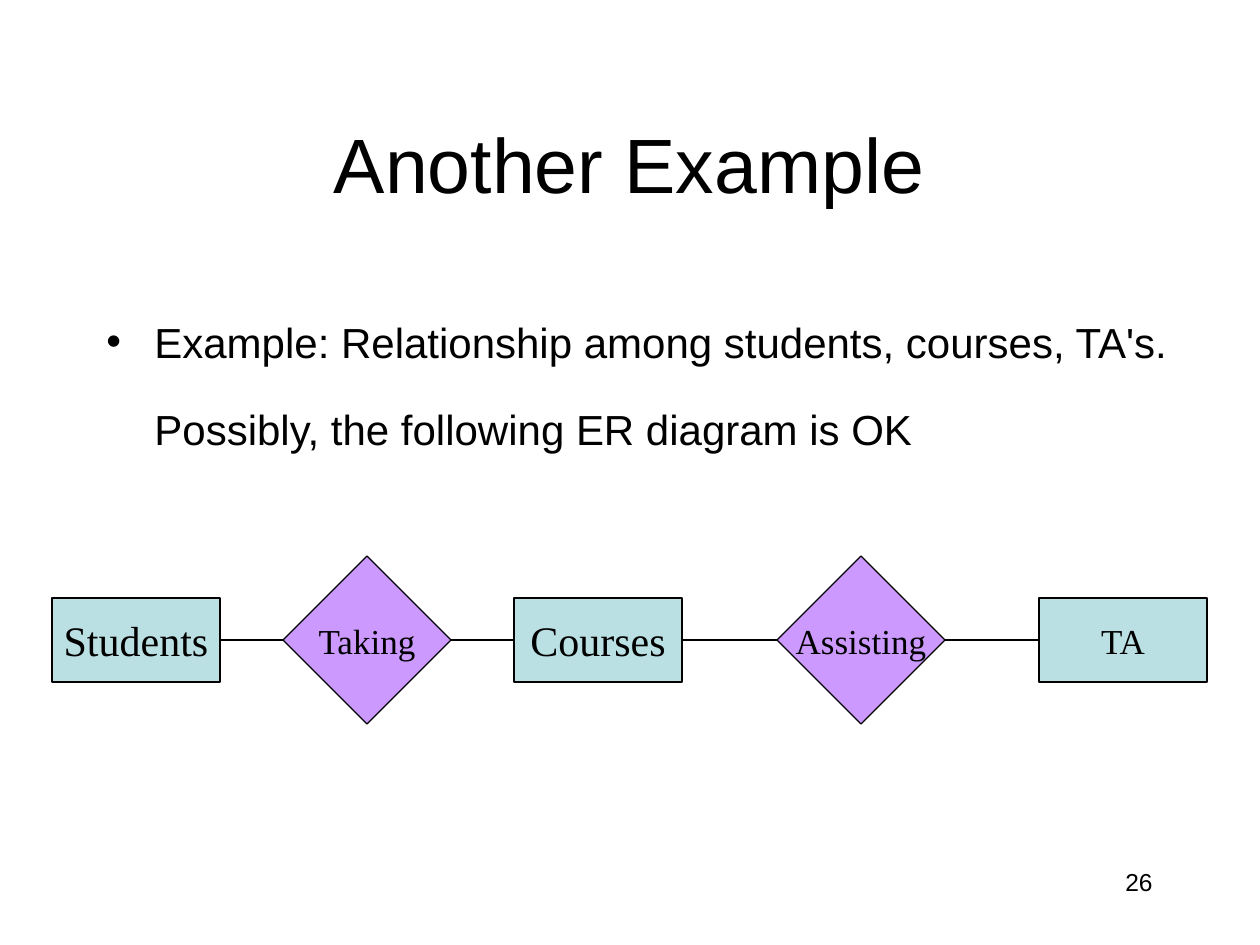
from itertools import pairwise

from lxml import etree
from pptx import Presentation
from pptx.dml.color import RGBColor
from pptx.enum.shapes import MSO_CONNECTOR, MSO_SHAPE
from pptx.enum.text import MSO_ANCHOR, PP_ALIGN
from pptx.oxml.ns import qn
from pptx.util import Pt

EMU = 914400 / 126  # one px
THEME = {
    "ink": RGBColor(0x00, 0x00, 0x00),
    "entity": RGBColor(0xBB, 0xE0, 0xE3),
    "relation": RGBColor(0xCC, 0x99, 0xFF),
    "sans": "Arial",
    "serif": "Times New Roman",
    "title": Pt(44),
    "body": Pt(24),
    "label": Pt(20),
    "number": Pt(14),
}


def px(*values):
    return [round(v * EMU) for v in values]


def write(p, text, font, size, **formats):
    for name, value in formats.items():
        setattr(p, name, value)
    r = p.add_run()
    r.text = text
    r.font.name, r.font.size = font, size
    r.font.color.rgb = THEME["ink"]


prs = Presentation()
prs.slide_width, prs.slide_height = px(1260, 945)
s = prs.slides.add_slide(prs.slide_layouts[6])

# Title and slide number
for text, box, size, align, anchor in [
    ("Another Example", (94, 84, 1071, 158), "title", PP_ALIGN.CENTER, MSO_ANCHOR.MIDDLE),
    ("26", (903, 861, 262, 63), "number", PP_ALIGN.RIGHT, MSO_ANCHOR.TOP),
]:
    tf = s.shapes.add_textbox(*px(*box)).text_frame
    tf.word_wrap = True
    tf.vertical_anchor = anchor
    write(tf.paragraphs[0], text, THEME["sans"], THEME[size], alignment=align)

# Body: a bulleted line and its continuation on the same indent
tf = s.shapes.add_textbox(*px(94, 320, 1113, 140)).text_frame
tf.word_wrap = True
indent, = px(48)
for i, text in enumerate([
    "Example: Relationship among students, courses, TA's.",
    "Possibly, the following ER diagram is OK",
]):
    p = tf.add_paragraph() if i else tf.paragraphs[0]
    pPr = p._p.get_or_add_pPr()
    pPr.set("marL", str(indent))
    pPr.set("indent", str(0 if i else -indent))
    if i == 0:
        etree.SubElement(pPr, qn("a:buFont")).set("typeface", THEME["sans"])
        etree.SubElement(pPr, qn("a:buChar")).set("char", "•")
    write(p, text, THEME["sans"], THEME["body"],
          line_spacing=0.8, space_before=Pt(26.5 if i else 0))

# ER diagram: entities and relationships centred on one axis
AXIS, WIDTH = 640, 168
KINDS = {
    "entity": (MSO_SHAPE.RECTANGLE, 84),
    "relation": (MSO_SHAPE.DIAMOND, 168),
}
nodes = []
for text, kind, left, size in [
    ("Students", "entity", 52, "body"),
    ("Taking", "relation", 283, "label"),
    ("Courses", "entity", 514, "body"),
    ("Assisting", "relation", 777, "label"),
    ("TA", "entity", 1039, "label"),
]:
    preset, height = KINDS[kind]
    sp = s.shapes.add_shape(preset, *px(left, AXIS - height / 2, WIDTH, height))
    sp.shadow.inherit = False
    sp.fill.solid()
    sp.fill.fore_color.rgb = THEME[kind]
    sp.line.color.rgb = THEME["ink"]
    sp.line.width = Pt(0.75)
    tf = sp.text_frame
    tf.word_wrap = False
    tf.vertical_anchor = MSO_ANCHOR.MIDDLE
    write(tf.paragraphs[0], text, THEME["serif"], THEME[size], alignment=PP_ALIGN.CENTER)
    nodes.append(sp)

# Links between neighbours, right side to left side
for a, b in pairwise(nodes):
    link = s.shapes.add_connector(MSO_CONNECTOR.STRAIGHT, 0, 0, 0, 0)
    link.begin_connect(a, 3)
    link.end_connect(b, 1)
    link.line.color.rgb = THEME["ink"]
    link.line.width = Pt(1.5)
    etree.SubElement(link._element.spPr, qn("a:effectLst"))

prs.save("out.pptx")
